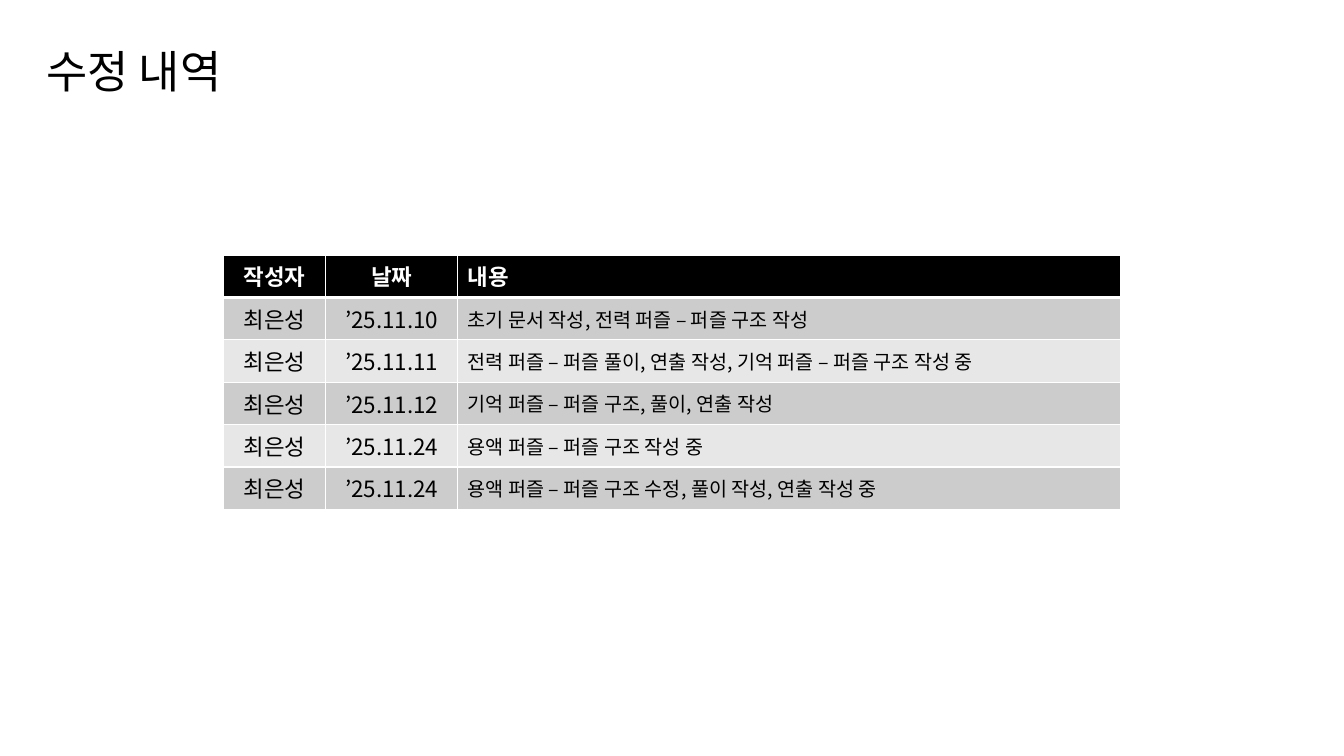
from lxml.etree import SubElement
from pptx import Presentation
from pptx.dml.color import RGBColor
from pptx.enum.text import MSO_ANCHOR as Anchor, PP_ALIGN as Align
from pptx.oxml import parse_xml
from pptx.oxml.ns import nsdecls, qn
from pptx.util import Inches, Pt

# Content
TITLE = "수정 내역"
HEADER = ("작성자", "날짜", "내용")
AUTHOR = "최은성"
REVISIONS = [
    ("’25.11.10", "초기 문서 작성, 전력 퍼즐 – 퍼즐 구조 작성"),
    ("’25.11.11", "전력 퍼즐 – 퍼즐 풀이, 연출 작성, 기억 퍼즐 – 퍼즐 구조 작성 중"),
    ("’25.11.12", "기억 퍼즐 – 퍼즐 구조, 풀이, 연출 작성"),
    ("’25.11.24", "용액 퍼즐 – 퍼즐 구조 작성 중"),
    ("’25.11.24", "용액 퍼즐 – 퍼즐 구조 수정, 풀이 작성, 연출 작성 중"),
]
ROWS = [HEADER] + [(AUTHOR, date, change) for date, change in REVISIONS]

# Format
FONT = "Noto Sans CJK KR"
BLACK, WHITE = "000000", "FFFFFF"
BANDS = ("CCCCCC", "E7E7E7")
COLUMN_WIDTHS = (1.01, 1.31, 6.57)
ROW_HEIGHT = 0.41
TITLE_BOX = {"left": 0.36, "top": 0.32, "width": 11.5, "height": 0.83}


def color(value):
    return RGBColor.from_string(value)


def write(text_frame, text, size, text_color, align, bold=False):
    paragraph = text_frame.paragraphs[0]
    paragraph.alignment = align
    run = paragraph.add_run()
    run.text = text
    for name, value in {"name": FONT, "size": Pt(size), "bold": bold}.items():
        setattr(run.font, name, value)
    run.font.color.rgb = color(text_color)
    SubElement(run.font._element, qn("a:ea"), typeface=FONT)
    return paragraph


def add_borders(cell, widths):
    properties = cell._tc.get_or_add_tcPr()
    for position, (side, width) in enumerate(widths.items()):
        properties.insert(position, parse_xml(
            f'<a:ln{side} {nsdecls("a")} w="{Pt(width)}"><a:solidFill>'
            f'<a:srgbClr val="{WHITE}"/></a:solidFill></a:ln{side}>'))


presentation = Presentation()
presentation.slide_width = Inches(13.33)
presentation.slide_height = Inches(7.5)
slide = presentation.slides.add_slide(presentation.slide_layouts[5])

# Title
title = slide.shapes.title
for name, value in TITLE_BOX.items():
    setattr(title, name, Inches(value))
title.text_frame.vertical_anchor = Anchor.MIDDLE
write(title.text_frame, TITLE, 32, BLACK, Align.LEFT).line_spacing = 0.9

# Revision table
table = slide.shapes.add_table(
    len(ROWS), len(HEADER), Inches(2.22), Inches(2.53),
    Inches(sum(COLUMN_WIDTHS)), Inches(ROW_HEIGHT * len(ROWS))).table
for column, width in zip(table.columns, COLUMN_WIDTHS):
    column.width = Inches(width)

for r, row in enumerate(ROWS):
    table.rows[r].height = Inches(ROW_HEIGHT)
    is_header = r == 0
    for c, text in enumerate(row):
        cell = table.cell(r, c)
        is_change = c == len(HEADER) - 1
        cell.fill.solid()
        cell.fill.fore_color.rgb = color(BLACK if is_header else BANDS[(r - 1) % 2])
        cell.vertical_anchor = Anchor.TOP if is_header else Anchor.MIDDLE
        write(cell.text_frame, text, 14 if is_change and not is_header else 16,
              WHITE if is_header else BLACK,
              Align.LEFT if is_change else Align.CENTER, is_header)
        add_borders(cell, {"L": 1, "R": 1, "T": 3 if r == 1 else 1,
                           "B": 3 if is_header else 1})

presentation.save("out.pptx")
